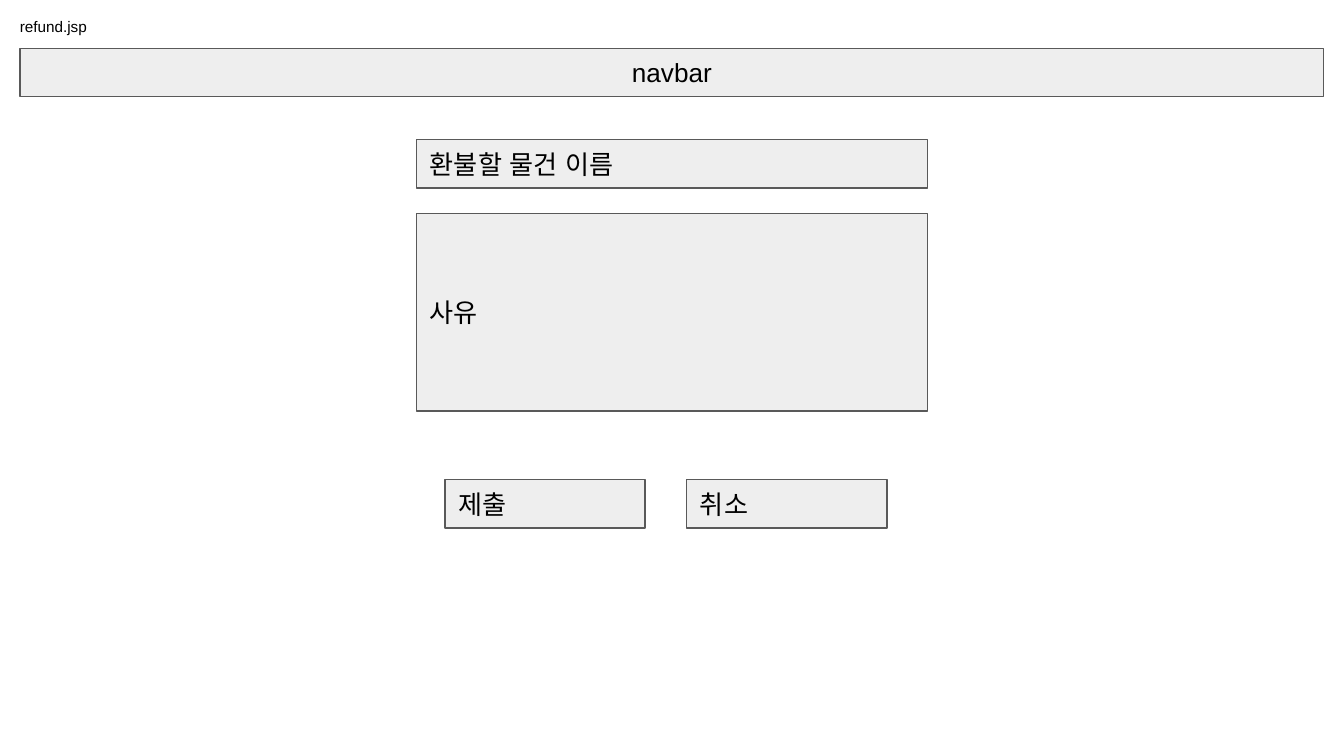
from dataclasses import dataclass

from lxml import etree
from pptx import Presentation
from pptx.dml.color import RGBColor
from pptx.enum.shapes import MSO_SHAPE
from pptx.enum.text import MSO_ANCHOR, PP_ALIGN
from pptx.oxml.ns import qn
from pptx.util import Inches, Pt

RECTANGLE = MSO_SHAPE.RECTANGLE
TOP, MIDDLE = MSO_ANCHOR.TOP, MSO_ANCHOR.MIDDLE
LEFT, CENTER = PP_ALIGN.LEFT, PP_ALIGN.CENTER


@dataclass(frozen=True)
class Theme:
    font: str = "Arial"
    text: RGBColor = RGBColor(0x00, 0x00, 0x00)
    fill: RGBColor = RGBColor(0xEE, 0xEE, 0xEE)
    line: RGBColor = RGBColor(0x59, 0x59, 0x59)
    background: RGBColor = RGBColor(0xFF, 0xFF, 0xFF)
    title_size: float = 8.2
    body_size: float = 14
    line_width: float = 0.75
    inset: float = 0.1


THEME = Theme()
SLIDE_WIDTH = 10
SLIDE_HEIGHT = SLIDE_WIDTH * 9 / 16
ROW_HEIGHT = 0.36


def write_text(shape, text, size, anchor=MIDDLE, alignment=LEFT):
    frame = shape.text_frame
    frame.text = text
    frame.word_wrap = True
    frame.vertical_anchor = anchor
    frame.margin_left = frame.margin_right = Inches(THEME.inset)
    frame.margin_top = frame.margin_bottom = Inches(THEME.inset)
    paragraph = frame.paragraphs[0]
    paragraph.alignment = alignment
    run = paragraph.runs[0]
    run.font.size = Pt(size)
    run.font.color.rgb = THEME.text
    run.font.name = THEME.font
    # Korean text takes its typeface from the East Asian font
    properties = run.font._element
    etree.SubElement(properties, qn("a:ea")).set("typeface", THEME.font)


def add_page_name(slide, text, left, top, width, height):
    box = slide.shapes.add_textbox(
        Inches(left), Inches(top), Inches(width), Inches(height))
    write_text(box, text, THEME.title_size, anchor=TOP)
    box.text_frame.margin_top = Inches(0.14)


def add_box(slide, text, left, top, width, height=ROW_HEIGHT, alignment=LEFT):
    box = slide.shapes.add_shape(
        RECTANGLE, Inches(left), Inches(top), Inches(width), Inches(height))
    box.shadow.inherit = False
    box.fill.solid()
    box.fill.fore_color.rgb = THEME.fill
    box.line.color.rgb = THEME.line
    box.line.width = Pt(THEME.line_width)
    write_text(box, text, THEME.body_size, alignment=alignment)


def add_centered_box(slide, text, top, width, height=ROW_HEIGHT, alignment=LEFT):
    add_box(slide, text, (SLIDE_WIDTH - width) / 2, top, width, height, alignment)


def add_buttons(slide, labels, left, top, width, pitch):
    for index, label in enumerate(labels):
        add_box(slide, label, left + index * pitch, top, width)


def main():
    presentation = Presentation()
    presentation.slide_width = Inches(SLIDE_WIDTH)
    presentation.slide_height = Inches(SLIDE_HEIGHT)
    slide = presentation.slides.add_slide(presentation.slide_layouts[6])
    slide.background.fill.solid()
    slide.background.fill.fore_color.rgb = THEME.background

    # Page name
    add_page_name(slide, "refund.jsp", 0.05, 0.04, 1.01, 0.31)

    # Refund form fields
    add_centered_box(slide, "사유", top=1.59, width=3.8, height=1.47)
    add_centered_box(slide, "환불할 물건 이름", top=1.04, width=3.8)

    # Navigation bar
    add_centered_box(slide, "navbar", top=0.36, width=9.7, alignment=CENTER)

    # Submit and cancel buttons
    add_buttons(slide, ["제출", "취소"], left=3.31, top=3.57, width=1.49, pitch=1.8)

    presentation.save("out.pptx")


if __name__ == "__main__":
    main()
